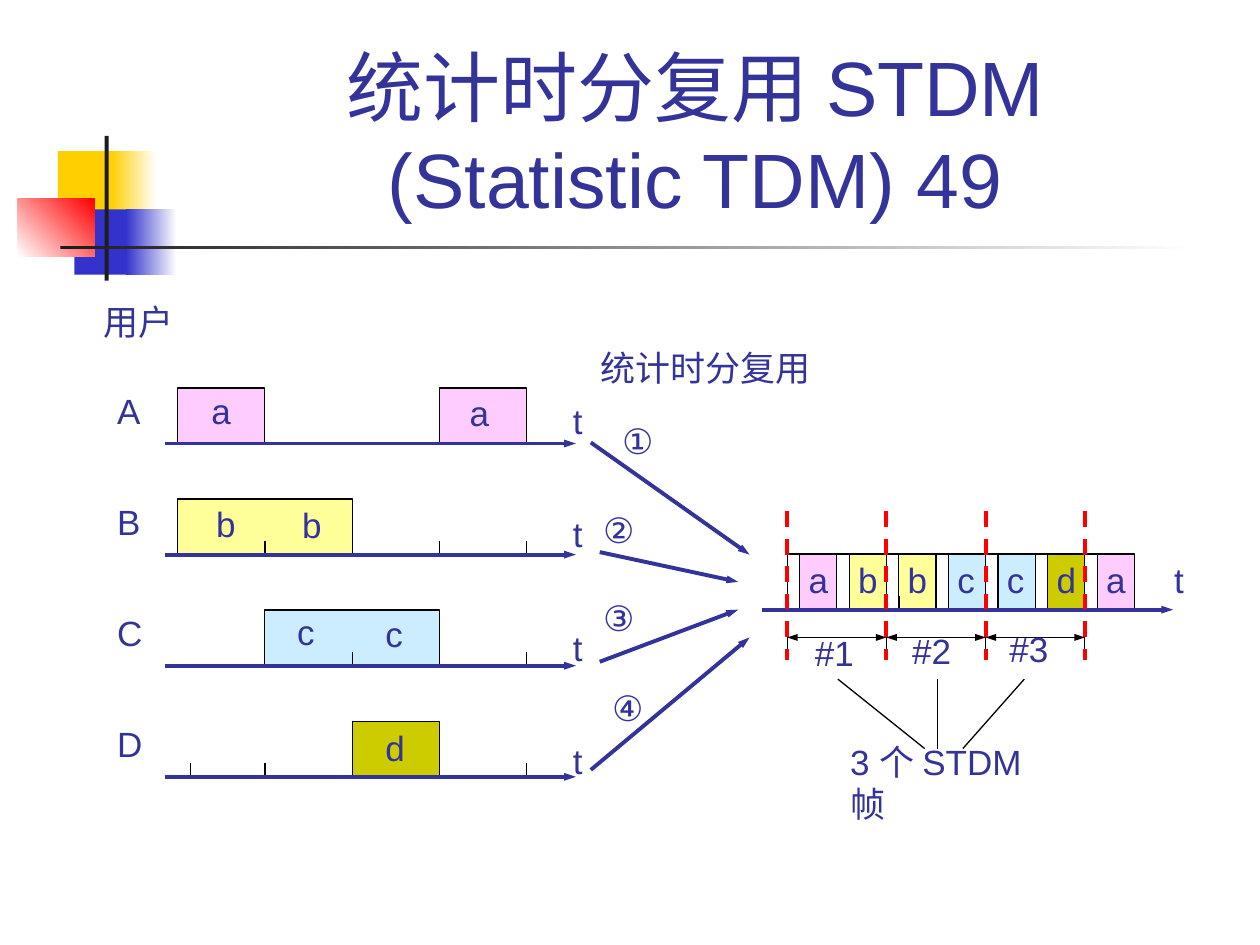
from dataclasses import dataclass
from pptx import Presentation
from pptx.dml.color import RGBColor
from pptx.enum.dml import MSO_LINE
from pptx.enum.shapes import MSO_CONNECTOR, MSO_SHAPE
from pptx.enum.text import MSO_ANCHOR, MSO_AUTO_SIZE, PP_ALIGN
from pptx.oxml.ns import qn
from pptx.util import Cm, Pt
from lxml.etree import SubElement


@dataclass(frozen=True)
class Theme:
    font: str = "Arial"
    head: int = 44
    body: int = 20
    thin: float = 0.75
    bold: float = 2.25
    ink: str = "333399"
    black: str = "000000"
    red: str = "FF0000"
    white: str = "FFFFFF"
    gold: str = "FFCF01"
    blue: str = "3333CC"
    dark: str = "1C1C1C"


THEME = Theme()
HUES = {"a": "FFCCFF", "b": "FFFF99", "c": "CCECFF", "d": "CCCC00"}

LEFT, SLOT = 3.58, 1.76
BASE, STEP, HIGH = 8.94, 2.24, 1.12
START, PITCH, GAP = 15.87, 1.0, 0.25
FLOOR = 12.29
SPAN = 2 * PITCH

BLOCKS = [("a", 0, 0, 1), ("a", 0, 3, 1), ("b", 1, 0, 2),
          ("c", 2, 1, 2), ("d", 3, 2, 1)]
TICKS = [(1, 1), (1, 3), (1, 4), (2, 2), (2, 4), (3, 0.15), (3, 1), (3, 4)]
MARKS = [("a", 4.01, 7.72), ("a", 9.22, 7.77), ("b", 4.11, 10.01),
         ("b", 5.84, 10.03), ("c", 5.74, 12.19), ("c", 7.52, 12.22),
         ("d", 7.52, 14.53)]
STEPS = [("①", 12.29, 8.33), ("②", 11.91, 10.13),
         ("③", 11.91, 11.91), ("④", 12.09, 13.72)]
FEEDS = [(11.91, 8.92, 15.11, 11.18), (12.09, 11.13, 14.88, 11.73),
         (12.09, 13.34, 14.88, 12.29), (11.91, 15.52, 15.11, 12.85)]
LEADS = [(16.89, 18.64), (18.9, 18.9), (20.65, 19.41)]


def style(item, form):
    for key, val in form.items():
        setattr(item, key, val)


def rgb(hue):
    return RGBColor.from_string(hue)


def ink(size):
    return {"name": THEME.font, "size": Pt(size)}


def panel(slide, x, y, w, h, hue, fade=None, turn=0):
    box = slide.shapes.add_shape(MSO_SHAPE.RECTANGLE, Cm(x), Cm(y), Cm(w), Cm(h))
    box.shadow.inherit = False
    box.line.fill.background()
    if fade:
        box.fill.gradient()
        box.fill.gradient_angle = turn
        for stop, tone in zip(box.fill.gradient_stops, (hue, fade)):
            stop.color.rgb = rgb(tone)
    else:
        box.fill.solid()
        box.fill.fore_color.rgb = rgb(hue)


def pulse(slide, x, base, w, hue=None):
    top = base - HIGH
    pen = slide.shapes.build_freeform(Cm(x), Cm(base))
    pen.add_line_segments([(Cm(x), Cm(top)), (Cm(x + w), Cm(top)),
                           (Cm(x + w), Cm(base))], close=False)
    box = pen.convert_to_shape()
    box.shadow.inherit = False
    if hue:
        box.fill.solid()
        box.fill.fore_color.rgb = rgb(hue)
    else:
        box.fill.background()
    box.line.color.rgb = rgb(THEME.black)
    box.line.width = Pt(THEME.thin)


def rule(slide, x1, y1, x2, y2, hue=THEME.black, wide=THEME.thin, ends=(), dash=None):
    bar = slide.shapes.add_connector(MSO_CONNECTOR.STRAIGHT,
                                     Cm(x1), Cm(y1), Cm(x2), Cm(y2))
    bar.line.color.rgb = rgb(hue)
    style(bar.line, {"width": Pt(wide), "dash_style": dash})
    props = bar.element.spPr
    for end in ends:
        SubElement(props.find(qn("a:ln")), qn(f"a:{end}"),
                   type="triangle", w="sm", len="med")
    SubElement(props, qn("a:effectLst"))


def arrow(slide, x1, y1, x2, y2):
    rule(slide, x1, y1, x2, y2, THEME.ink, THEME.bold, ["tailEnd"])


def label(slide, text, x, y, w=0.91, wrap=False):
    box = slide.shapes.add_textbox(Cm(x), Cm(y), Cm(w), Cm(1.1))
    frame = box.text_frame
    style(frame, {"word_wrap": wrap, "auto_size": MSO_AUTO_SIZE.SHAPE_TO_FIT_TEXT,
                  "text": text})
    font = frame.paragraphs[0].runs[0].font
    style(font, ink(THEME.body))
    font.color.rgb = rgb(THEME.ink)


def decor(slide):
    panel(slide, 1.17, 3.05, 1.22, 1.32, THEME.gold)
    panel(slide, 2.24, 3.05, 0.91, 1.32, THEME.gold, THEME.white)
    panel(slide, 1.5, 4.22, 1.17, 1.32, THEME.blue)
    panel(slide, 2.54, 4.22, 1.02, 1.32, THEME.blue, THEME.white)
    panel(slide, 0.36, 4.01, 1.55, 1.17, THEME.white, THEME.red, 45)
    panel(slide, 2.11, 2.74, 0.08, 2.92, THEME.dark)
    panel(slide, 1.22, 4.95, 22.86, 0.08, THEME.dark, THEME.white)


def title(slide, text):
    head = slide.shapes.title
    style(head, {"left": Cm(3.2), "top": Cm(0.58), "width": Cm(21.64),
                 "height": Cm(4.06)})
    frame = head.text_frame
    style(frame, {"text": text, "vertical_anchor": MSO_ANCHOR.BOTTOM,
                  "word_wrap": True, "auto_size": MSO_AUTO_SIZE.NONE})
    para = frame.paragraphs[0]
    para.alignment = PP_ALIGN.CENTER
    for run in para.runs:
        style(run.font, ink(THEME.head))
        run.font.color.rgb = rgb(THEME.ink)


def users(slide):
    label(slide, "用户", 1.83, 5.94, 1.93)
    for key, row, slot, count in BLOCKS:
        pulse(slide, LEFT + slot * SLOT, BASE + row * STEP, count * SLOT, HUES[key])
    for row, slot in TICKS:
        x, y = LEFT + slot * SLOT, BASE + row * STEP
        rule(slide, x, y - 0.28, x, y)
    for row, name in enumerate("ABCD"):
        y = BASE + row * STEP
        arrow(slide, 3.33, y, 11.61, y)
        label(slide, name, 2.11, 7.72 + row * STEP, 1.0)
        label(slide, "t", 11.3, 7.92 + row * 2.29, 0.71)
    for text, x, y in MARKS:
        label(slide, text, x, y)


def feeds(slide):
    label(slide, "统计时分复用", 11.86, 6.86, 4.75)
    for ends in FEEDS:
        arrow(slide, *ends)
    for text, x, y in STEPS:
        label(slide, text, x, y, 1.22)


def frames(slide):
    for i, key in enumerate("abbccda"):
        x = START + i * PITCH
        pulse(slide, x, FLOOR, GAP)
        pulse(slide, x + GAP, FLOOR, PITCH - GAP, HUES[key])
        label(slide, key, x + 0.18, 11.13)
    for x in (18.12, 18.87, 21.87):
        rule(slide, x, FLOOR - 0.28, x, FLOOR)
    arrow(slide, 15.37, FLOOR, 23.65, FLOOR)
    label(slide, "t", 23.42, 11.13, 0.71)
    for i, (near, far) in enumerate(LEADS):
        x = START + i * SPAN
        rule(slide, x, 12.85, x + SPAN, 12.85, ends=["headEnd", "tailEnd"])
        label(slide, f"#{i + 1}", 16.18 + i * 1.96, 12.6 - i * 0.04, 1.3)
        rule(slide, near, 13.69, far, 15.09)
    label(slide, "3 个 STDM 帧", 16.89, 14.81, 4.7, True)
    for i in range(4):
        x = START + i * SPAN
        rule(slide, x, 12.57, x, 13.13)
        rule(slide, x, 10.31, x, 13.31, THEME.red, THEME.bold, dash=MSO_LINE.DASH)


def main():
    deck = Presentation()
    style(deck, {"slide_width": Cm(25.4), "slide_height": Cm(19.05)})
    slide = deck.slides.add_slide(deck.slide_layouts[5])
    decor(slide)
    title(slide, "统计时分复用 STDM\v(Statistic TDM) 49")
    users(slide)
    feeds(slide)
    frames(slide)
    deck.save("out.pptx")


if __name__ == "__main__":
    main()
